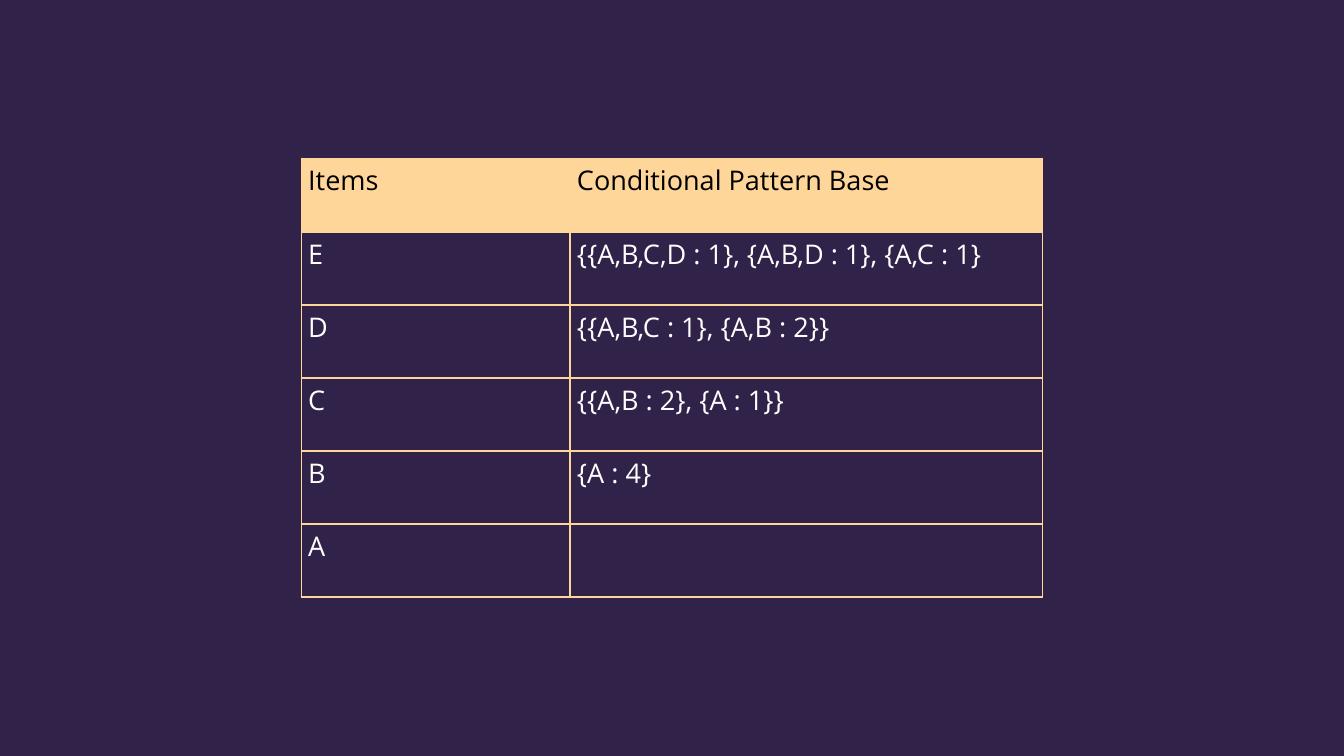
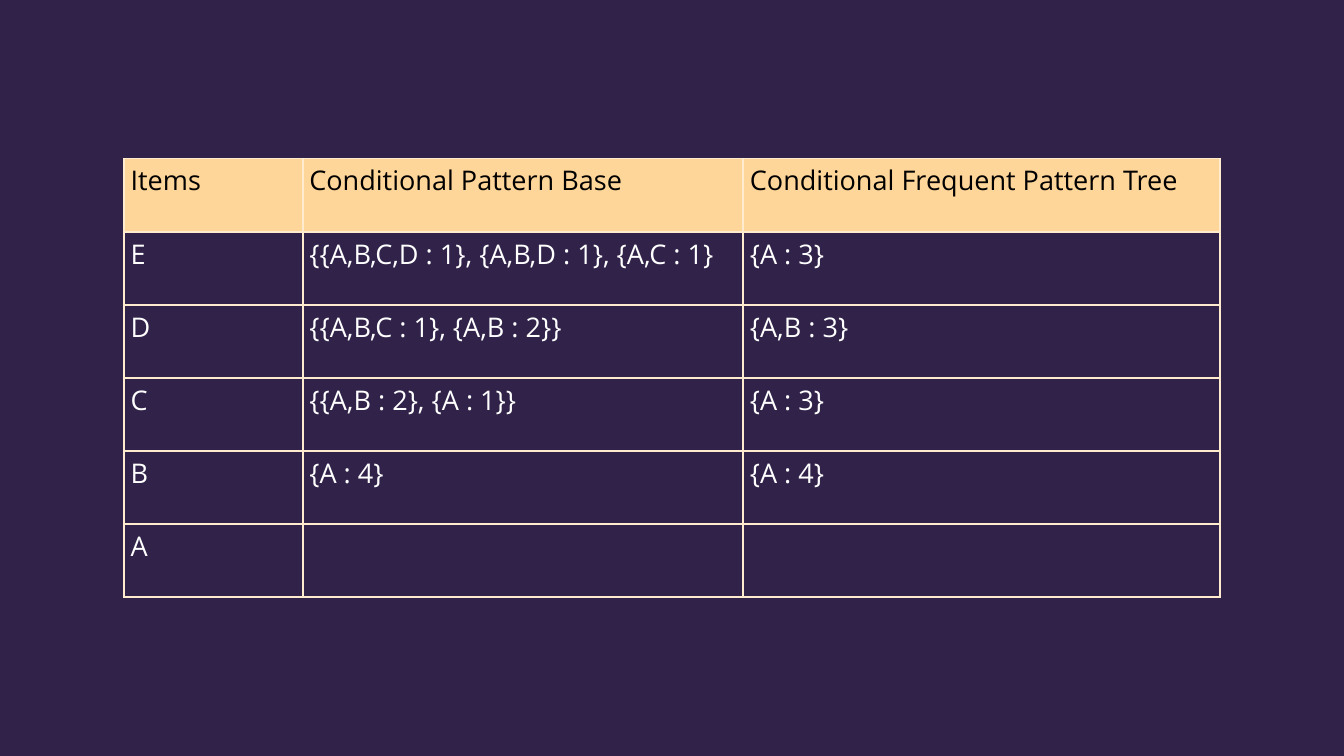
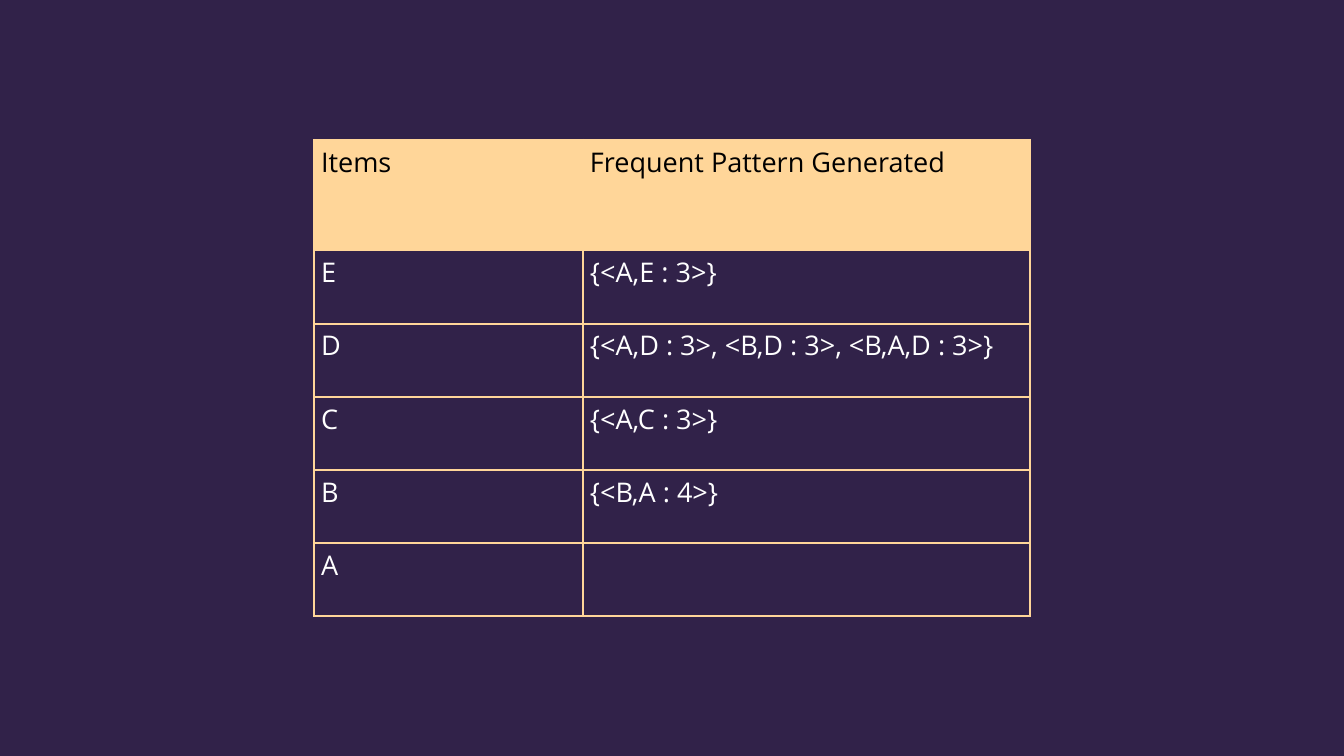
from lxml.etree import SubElement
from pptx import Presentation
from pptx.dml.color import RGBColor
from pptx.oxml.ns import qn
from pptx.util import Pt

# Shared look
SLIDE_WIDTH, SLIDE_HEIGHT = Pt(1440), Pt(810)
BACKGROUND = RGBColor(0x31, 0x22, 0x49)
HEADER_FILL = RGBColor(0xFF, 0xD6, 0x99)
PALE_BORDER = RGBColor(0xFF, 0xEB, 0xCD)
HEADER_TEXT = RGBColor(0x00, 0x00, 0x00)
BODY_TEXT = RGBColor(0xFF, 0xFF, 0xFF)
FONT_NAME = "Open Sans"
FONT_SIZE = Pt(29)
BORDER_WIDTH = Pt(2.25)
ROW_HEIGHT = Pt(78.36)
TALL_HEADER = Pt(118.6)

# Table contents, one row per item
ITEMS = ["E", "D", "C", "B", "A"]
PATTERN_BASES = [
    "{{A,B,C,D : 1}, {A,B,D : 1}, {A,C : 1}",
    "{{A,B,C : 1}, {A,B : 2}}",
    "{{A,B : 2}, {A : 1}}",
    "{A : 4}",
    "",
]
PATTERN_TREES = ["{A : 3}", "{A,B : 3}", "{A : 3}", "{A : 4}", ""]
FREQUENT_PATTERNS = [
    "{<A,E : 3>}",
    "{<A,D : 3>, <B,D : 3>, <B,A,D : 3>}",
    "{<A,C : 3>}",
    "{<B,A : 4>}",
    "",
]


def add_borders(cell, color):
    """Draw the four edges of a cell."""
    properties = cell._tc.get_or_add_tcPr()
    for edge in ("a:lnL", "a:lnR", "a:lnT", "a:lnB"):
        line = SubElement(properties, qn(edge), w=str(BORDER_WIDTH))
        fill = SubElement(line, qn("a:solidFill"))
        SubElement(fill, qn("a:srgbClr"), val=str(color))


def format_cell(cell, text, is_header, border_color):
    add_borders(cell, border_color)
    if is_header:
        cell.fill.solid()
        cell.fill.fore_color.rgb = HEADER_FILL
    else:
        cell.fill.background()
    cell.text_frame.text = text
    font = cell.text_frame.paragraphs[0].font
    for run in cell.text_frame.paragraphs[0].runs:
        font = run.font
    font.name = FONT_NAME
    font.size = FONT_SIZE
    font.bold = False
    font.color.rgb = HEADER_TEXT if is_header else BODY_TEXT


def add_table_slide(presentation, columns, border_color=HEADER_FILL,
                    header_height=ROW_HEIGHT):
    """Add a slide with one centred table; columns are (heading, width, values)."""
    slide = presentation.slides.add_slide(presentation.slide_layouts[6])
    width = sum(column_width for _, column_width, _ in columns)
    height = header_height + ROW_HEIGHT * len(ITEMS)
    left = (SLIDE_WIDTH - width) // 2
    top = (SLIDE_HEIGHT - height) // 2
    table = slide.shapes.add_table(
        len(ITEMS) + 1, len(columns), left, top, width, height).table
    table.first_row = False
    table.horz_banding = False

    for row in table.rows:
        row.height = ROW_HEIGHT
    table.rows[0].height = header_height

    for column_index, (heading, column_width, values) in enumerate(columns):
        table.columns[column_index].width = column_width
        for row_index, text in enumerate([heading, *values]):
            format_cell(table.cell(row_index, column_index), text,
                        row_index == 0, border_color)


def main():
    presentation = Presentation()
    presentation.slide_width = SLIDE_WIDTH
    presentation.slide_height = SLIDE_HEIGHT
    background = presentation.slide_master.background.fill
    background.solid()
    background.fore_color.rgb = BACKGROUND

    # Conditional pattern base
    add_table_slide(presentation, [
        ("Items", Pt(288), ITEMS),
        ("Conditional Pattern Base", Pt(506), PATTERN_BASES),
    ])

    # Conditional frequent pattern tree
    add_table_slide(presentation, [
        ("Items", Pt(191.5), ITEMS),
        ("Conditional Pattern Base", Pt(472), PATTERN_BASES),
        ("Conditional Frequent Pattern Tree", Pt(511), PATTERN_TREES),
    ], border_color=PALE_BORDER)

    # Frequent patterns
    add_table_slide(presentation, [
        ("Items", Pt(288), ITEMS),
        ("Frequent Pattern Generated", Pt(478.5), FREQUENT_PATTERNS),
    ], header_height=TALL_HEADER)

    presentation.save("out.pptx")


if __name__ == "__main__":
    main()
